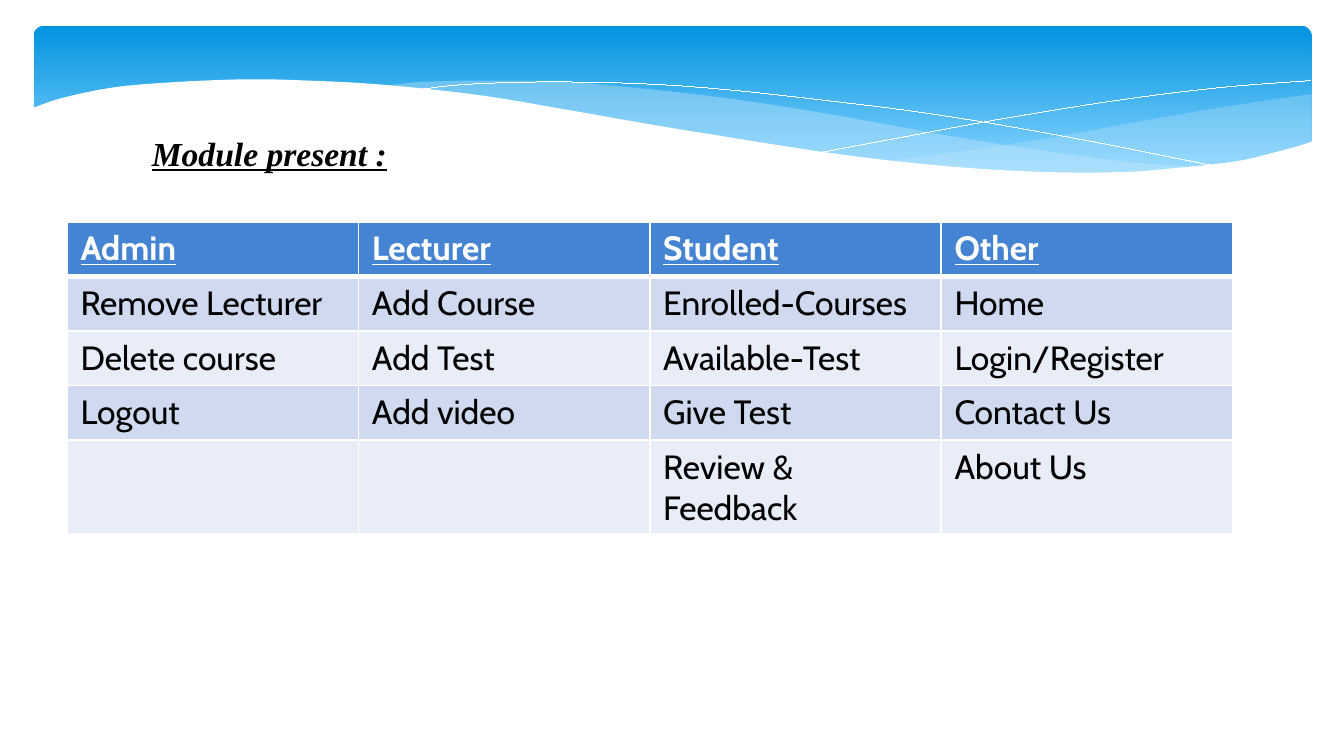
from lxml.etree import SubElement
from pptx import Presentation
from pptx.dml.color import RGBColor
from pptx.enum.shapes import MSO_SHAPE
from pptx.enum.text import MSO_AUTO_SIZE, PP_ALIGN
from pptx.oxml.ns import qn
from pptx.util import Pt

PX = 9144  # EMU, 100 px to the inch

FAR = [
    [(951, 51), (896, 59), (836, 69), (754, 84), (681, 95), (636, 101)],
    [(636, 101), (694, 106), (756, 109), (810, 110), (864, 106), (910, 98),
     (951, 87)],
]
MID = [
    [(261, 45), (288, 42), (336, 41), (395, 42), (464, 48), (530, 56),
     (604, 68), (681, 82), (750, 93), (812, 101), (868, 106)],
    [(868, 106), (823, 110), (782, 111), (736, 109), (684, 106), (625, 100),
     (541, 88), (466, 76), (379, 60), (317, 51), (261, 45)],
]
FALL = [(284, 48), (319, 44), (376, 42), (444, 43), (508, 47), (583, 55),
        (670, 66), (770, 83), (882, 105)]
RISE = [(588, 94), (647, 83), (723, 69), (811, 55), (885, 46), (950, 41)]
EDGE = [(-2, 62), (21, 54), (60, 46), (107, 42), (161, 40), (205, 41),
        (246, 43), (291, 47), (340, 53), (393, 62), (450, 72), (504, 81),
        (601, 96), (683, 105), (753, 109), (812, 109), (850, 106),
        (895, 101), (925, 94), (943, 89), (952, 86)]
BASE = [(952, 149), (-2, 149)]

ROWS = [
    ["Admin", "Lecturer", "Student", "Other"],
    ["Remove Lecturer", "Add Course", "Enrolled-Courses", "Home"],
    ["Delete course", "Add Test", "Available-Test", "Login/Register"],
    ["Logout", "Add video", "Give Test", "Contact Us"],
    ["", "", "Review & Feedback", "About Us"],
]
TITLE = dict(name="Times New Roman", size=Pt(18), bold=True, italic=True,
             underline=True)
HEAD = dict(name="Cabin", size=Pt(18), bold=True, underline=True)
BODY = dict(name="Cabin", size=Pt(18), bold=False)


def color(hue):
    return RGBColor.from_string(hue)


def paint(fill, hue):
    fill.solid()
    fill.fore_color.rgb = color(hue)


def style(font, look, hue):
    for key, val in look.items():
        setattr(font, key, val)
    font.color.rgb = color(hue)


def smooth(knots, steps=6):
    """Return points on a Catmull-Rom curve through the knots."""
    ends = [knots[0], *knots, knots[-1]]
    dots = [knots[0]]
    for a, b, c, d in zip(ends, ends[1:], ends[2:], ends[3:]):
        for n in range(1, steps + 1):
            t = n / steps
            dots.append(tuple(
                (2 * q + (r - p) * t + (2 * p - 5 * q + 4 * r - s) * t ** 2
                 + (3 * q - p - 3 * r + s) * t ** 3) / 2
                for p, q, r, s in zip(a, b, c, d)))
    return dots


def trace(slide, box, dots, close):
    x, y = box[:2]
    dots = [((x + a) * PX, (y + b) * PX) for a, b in dots]
    pen = slide.shapes.build_freeform(*dots[0])
    pen.add_line_segments(dots[1:], close=close)
    shape = pen.convert_to_shape()
    shape.shadow.inherit = False
    return shape


def wave(slide, box, dots, hue, alpha=100):
    shape = trace(slide, box, dots, True)
    paint(shape.fill, hue)
    shape.line.fill.background()
    if alpha < 100:
        tint = shape.fill._xPr.find(".//" + qn("a:srgbClr"))
        SubElement(tint, qn("a:alpha")).set("val", str(alpha * 1000))


def thread(slide, box, knots):
    """Draw a hairline; its zero width has to be written out."""
    shape = trace(slide, box, smooth(knots), False)
    shape.fill.background()
    paint(shape.line.fill, "FFFFFF")
    shape._element.spPr.find(qn("a:ln")).set("w", "0")


def banner(slide, box):
    back = slide.shapes.add_shape(MSO_SHAPE.ROUNDED_RECTANGLE,
                                  *(n * PX for n in box))
    back.adjustments[0] = 0.07
    back.shadow.inherit = False
    back.line.fill.background()
    back.fill.gradient()
    back.fill.gradient_angle = 270
    stops = [(0, "0293E0"), (0.9, "83D3FE")]
    for stop, (place, hue) in zip(back.fill.gradient_stops, stops):
        stop.position = place
        stop.color.rgb = color(hue)
    for sides, alpha in ((FAR, 29), (MID, 40)):
        dots = [dot for side in sides for dot in smooth(side)]
        wave(slide, box, dots, "C6E7FC", alpha)
    thread(slide, box, FALL)
    thread(slide, box, RISE)
    wave(slide, box, smooth(EDGE) + BASE, "FFFFFF")


def title(slide, box, text):
    frame = slide.shapes.add_textbox(*(n * PX for n in box)).text_frame
    frame.word_wrap = False
    frame.auto_size = MSO_AUTO_SIZE.SHAPE_TO_FIT_TEXT
    para = frame.paragraphs[0]
    para.alignment = PP_ALIGN.CENTER
    para._p.get_or_add_pPr().set("marL", str(20 * PX))
    run = para.add_run()
    run.text = text
    style(run.font, TITLE, "000000")


def border(cell, row):
    wide = {"lnT": 3 if row == 1 else 1, "lnB": 3 if row == 0 else 1}
    for tag in ("lnL", "lnR", "lnT", "lnB"):
        line = SubElement(cell._tc.get_or_add_tcPr(), qn("a:" + tag),
                          w=str(Pt(wide.get(tag, 1))))
        fill = SubElement(line, qn("a:solidFill"))
        SubElement(fill, qn("a:srgbClr"), val="FFFFFF")


def grid(slide, box, rows):
    table = slide.shapes.add_table(len(rows), len(rows[0]),
                                   *(n * PX for n in box)).table
    for col in table.columns:
        col.width = box[2] * PX // len(rows[0])
    for r, texts in enumerate(rows):
        table.rows[r].height = box[3] * PX // len(rows)
        look, ink = (BODY, "000000") if r else (HEAD, "FFFFFF")
        hue = ("CFD9EF" if r % 2 else "E9EDF7") if r else "4584D3"
        for c, text in enumerate(texts):
            cell = table.cell(r, c)
            border(cell, r)
            paint(cell.fill, hue)
            if text:
                run = cell.text_frame.paragraphs[0].add_run()
                run.text = text
                style(run.font, look, ink)


def main():
    deck = Presentation()
    deck.slide_width = 1000 * PX
    deck.slide_height = deck.slide_width * 9 // 16
    slide = deck.slides.add_slide(deck.slide_layouts[6])
    banner(slide, (25, 19, 951, 117))
    title(slide, (82, 94, 217, 40), "Module present :")
    grid(slide, (50, 165, 867, 203), ROWS)
    deck.save("out.pptx")


if __name__ == "__main__":
    main()
